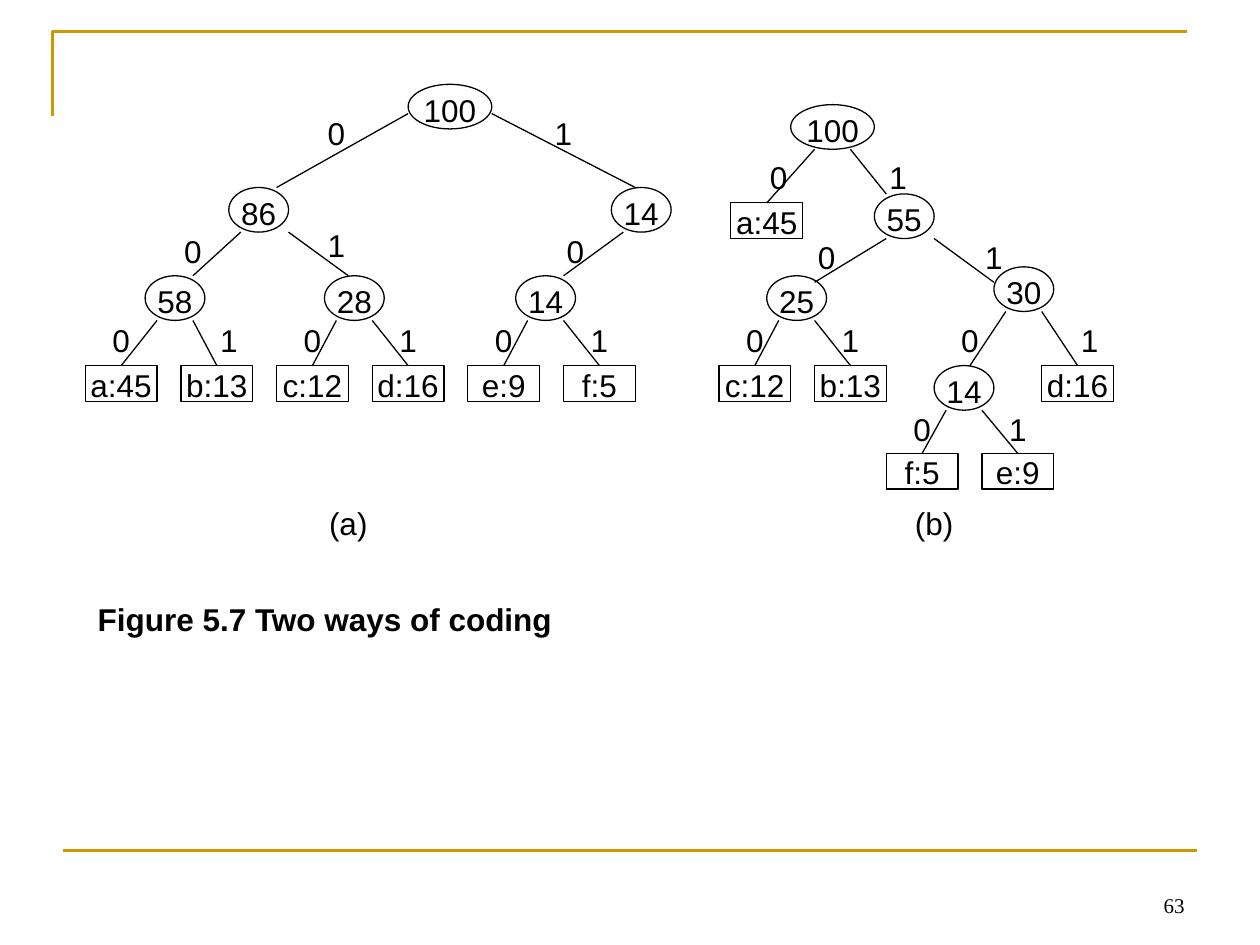
"""Build a slide comparing two binary code trees."""
from lxml import etree
from pptx import Presentation
from pptx.dml.color import RGBColor
from pptx.enum.shapes import MSO_CONNECTOR as Line, MSO_SHAPE as Shape
from pptx.enum.text import MSO_ANCHOR as Anchor, PP_ALIGN as Align
from pptx.oxml.ns import qn
from pptx.util import Cm, Pt

BLACK, WHITE, GOLD = "000000", "FFFFFF", "CC9900"
ORIGIN, COLUMN = 1.72, 0.241
OVAL_HEIGHT, BOX_HEIGHT = 0.9, 0.72
BOX_COLUMNS, LABEL_COLUMNS = 6, 4

# key: text, centre column, top, width in columns
OVALS = {
    "A root": ("100", 30.5, 1.7, 7),
    "A 86": ("86", 14.5, 3.78, 5),
    "A 14": ("14", 46.5, 3.78, 5),
    "A 58": ("58", 7.5, 5.56, 5),
    "A 28": ("28", 22.5, 5.56, 5),
    "A 14 low": ("14", 38.5, 5.56, 5),
    "B root": ("100", 62.5, 2.11, 7),
    "B 55": ("55", 68.5, 3.91, 5),
    "B 25": ("25", 59.5, 5.56, 5),
    "B 30": ("30", 78.5, 5.38, 5),
    "B 14": ("14", 73.5, 7.37, 5),
}

# parent, bit, text, centre column, top, label column, label top
LEAVES = [
    ("A 58", "0", "a:45", 3, 7.37, 3, 6.48),
    ("A 58", "1", "b:13", 11, 7.37, 12, 6.48),
    ("A 28", "0", "c:12", 19, 7.37, 19, 6.48),
    ("A 28", "1", "d:16", 27, 7.37, 27, 6.48),
    ("A 14 low", "0", "e:9", 35, 7.37, 35, 6.48),
    ("A 14 low", "1", "f:5", 43, 7.37, 43, 6.48),
    ("B root", "0", "a:45", 57, 4.09, 58, 3.18),
    ("B 25", "0", "c:12", 56, 7.37, 56, 6.48),
    ("B 25", "1", "b:13", 64, 7.37, 64, 6.48),
    ("B 30", "1", "d:16", 83, 7.37, 84, 6.48),
    ("B 14", "0", "f:5", 70, 9.14, 70, 8.26),
    ("B 14", "1", "e:9", 78, 9.14, 78, 8.26),
]

# bit, start column, start height, end column, end height, label column, label top
BRANCHES = [
    ("0", 27, 2.29, 16, 3.78, 21, 2.29),
    ("1", 34, 2.29, 46, 3.78, 40, 2.29),
    ("0", 13, 4.68, 9, 5.56, 9, 4.67),
    ("1", 17, 4.68, 22, 5.56, 21, 4.55),
    ("0", 45, 4.68, 40, 5.56, 41, 4.67),
    ("1", 64, 3.01, 67, 3.91, 68, 3.18),
    ("0", 67, 4.81, 61, 5.69, 62, 4.8),
    ("1", 71, 4.81, 76, 5.69, 76, 4.8),
    ("0", 77, 6.28, 74, 7.37, 74, 6.48),
]

CAPTIONS = [("(a)", 22, 10.16), ("(b)", 71, 10.16)]
TITLE = "Figure 5.7 Two ways of coding"
PAGE_NUMBER = "63"


def color(value):
    return RGBColor.from_string(value)


def across(column):
    return Cm(ORIGIN + column * COLUMN)


def write(shape, text, align=Align.CENTER, font="Arial", size=18, bold=False, inset=(0, 0)):
    frame = shape.text_frame
    frame.text = text
    frame.word_wrap = True
    frame.vertical_anchor = Anchor.TOP
    frame.margin_left = frame.margin_right = Cm(inset[0])
    frame.margin_top = frame.margin_bottom = Cm(inset[1])
    para = frame.paragraphs[0]
    para.alignment = align
    span = para.runs[0].font
    span.name, span.size, span.bold = font, Pt(size), bold
    span.color.rgb = color(BLACK)
    return frame


def add_node(page, kind, text, center, top, columns, height):
    node = page.shapes.add_shape(kind, across(center - columns / 2), Cm(top),
                                 Cm(columns * COLUMN), Cm(height))
    node.shadow.inherit = False
    node.fill.solid()
    node.fill.fore_color.rgb = color(WHITE)
    node.line.color.rgb = color(BLACK)
    node.line.width = Pt(0.75)
    write(node, text)
    return node


def add_label(page, text, center, top):
    box = page.shapes.add_textbox(across(center - LABEL_COLUMNS / 2), Cm(top),
                                  Cm(LABEL_COLUMNS * COLUMN), Cm(BOX_HEIGHT))
    write(box, text)


def add_line(page, x1, y1, x2, y2, tint=BLACK, width=0.75):
    line = page.shapes.add_connector(Line.STRAIGHT, x1, y1, x2, y2)
    line.line.color.rgb = color(tint)
    line.line.width = Pt(width)
    etree.SubElement(line._element.spPr, qn("a:effectLst"))
    return line


def add_frame(page):
    builder = page.shapes.build_freeform(Cm(1.06), Cm(2.33))
    builder.add_line_segments([(Cm(1.06), Cm(0.64)), (Cm(23.92), Cm(0.64))], close=False)
    corner = builder.convert_to_shape()
    corner.shadow.inherit = False
    corner.fill.background()
    corner.line.color.rgb = color(GOLD)
    corner.line.width = Pt(1.5)
    add_line(page, Cm(1.27), Cm(17.15), Cm(24.13), Cm(17.15), GOLD, 1.5)
    number = page.shapes.add_textbox(Cm(18.2), Cm(17.36), Cm(5.93), Cm(1.27))
    frame = write(number, PAGE_NUMBER, Align.RIGHT, "Times New Roman", 12, inset=(0.25, 0.13))
    frame.vertical_anchor = Anchor.BOTTOM


def add_trees(page):
    for text, center, top, columns in OVALS.values():
        add_node(page, Shape.OVAL, text, center, top, columns, OVAL_HEIGHT)
    for parent, bit, text, center, top, label, label_top in LEAVES:
        leaf = add_node(page, Shape.RECTANGLE, text, center, top, BOX_COLUMNS, BOX_HEIGHT)
        _, middle, parent_top, _ = OVALS[parent]
        start = middle + (1.5 if bit == "1" else -1.5)
        line = add_line(page, across(start), Cm(parent_top + OVAL_HEIGHT), across(center), Cm(top))
        line.end_connect(leaf, 0)
        add_label(page, bit, label, label_top)
    for bit, x1, y1, x2, y2, label, label_top in BRANCHES:
        add_line(page, across(x1), Cm(y1), across(x2), Cm(y2))
        add_label(page, bit, label, label_top)
    for caption in CAPTIONS:
        add_label(page, *caption)


def main():
    deck = Presentation()
    deck.slide_width, deck.slide_height = Cm(25.4), Cm(19.05)
    page = deck.slides.add_slide(deck.slide_layouts[6])
    add_frame(page)
    add_trees(page)
    title = page.shapes.add_textbox(Cm(1.72), Cm(11.96), Cm(20.96), Cm(4.47))
    write(title, TITLE, Align.JUSTIFY, bold=True, inset=(0.25, 0.13))
    deck.save("out.pptx")


if __name__ == "__main__":
    main()
